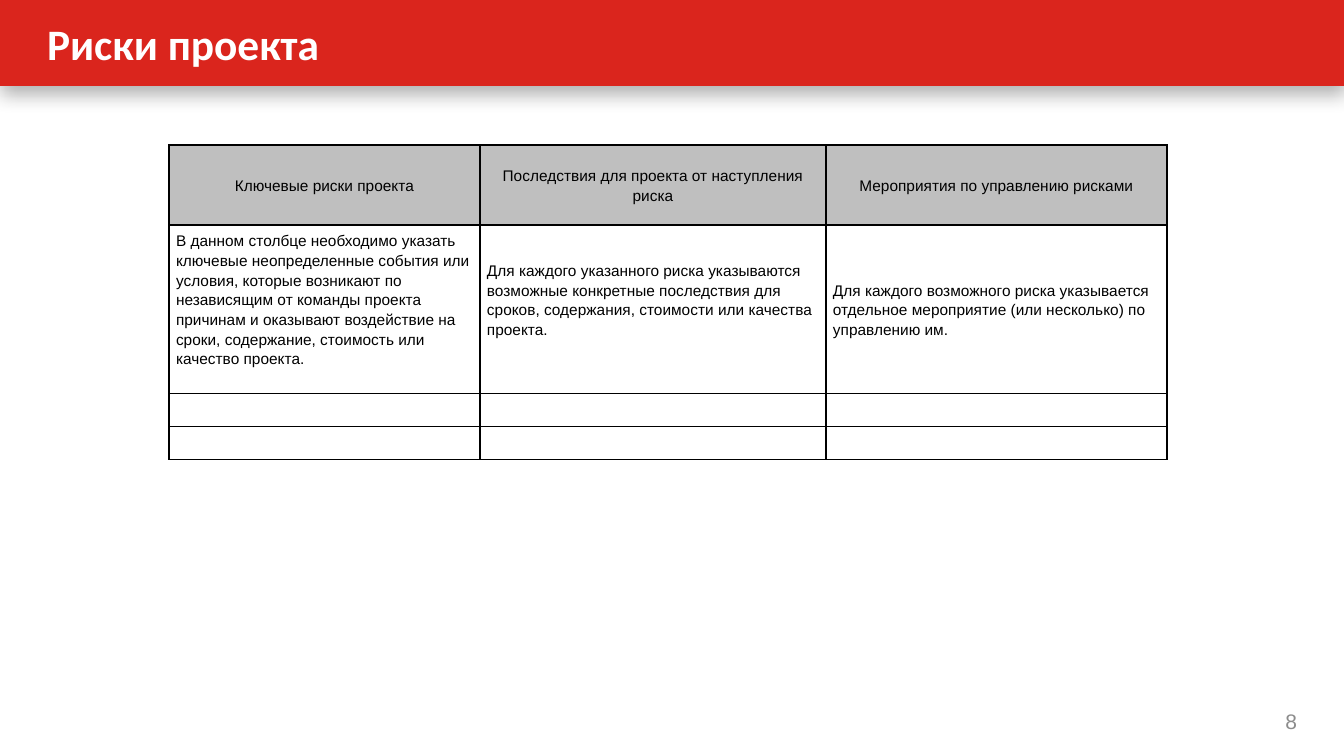
from lxml.etree import SubElement
from pptx import Presentation
from pptx.dml.color import RGBColor
from pptx.enum.shapes import MSO_SHAPE as Preset
from pptx.enum.text import MSO_ANCHOR as Anchor, PP_ALIGN as Align
from pptx.oxml import parse_xml
from pptx.oxml.ns import nsdecls, qn
from pptx.util import Pt

TITLE = "Риски проекта"
PAGE_NUMBER = "8"
HEADERS = [
    "Ключевые риски проекта",
    "Последствия для проекта от наступления риска",
    "Мероприятия по управлению рисками",
]
GUIDANCE = [
    "В данном столбце необходимо указать ключевые неопределенные события или условия, "
    "которые возникают по независящим от команды проекта причинам и оказывают воздействие "
    "на сроки, содержание, стоимость или качество проекта.",
    "Для каждого указанного риска указываются возможные конкретные последствия для сроков, "
    "содержания, стоимости или качества проекта.",
    "Для каждого возможного риска указывается отдельное мероприятие (или несколько) "
    "по управлению им.",
]
ROWS = [HEADERS, GUIDANCE, [""] * 3, [""] * 3]
GUIDANCE_BOTTOM = [20, 20, 0]
COLUMN_WIDTHS = [311, 346, 341]
ROW_HEIGHTS = [80, 159, 33, 33]
TABLE_LEFT, TABLE_TOP = 169, 145
SLIDE_WIDTH, SLIDE_HEIGHT, BANNER_HEIGHT = 1344, 756, 86
RED, WHITE, BLACK, HEADER_GRAY, NUMBER_GRAY = "DA251D", "FFFFFF", "000000", "BFBFBF", "8C8C8C"


def px(length):
    return round(length * 914400 / 100.8)


def color(value):
    return RGBColor.from_string(value)


def format_text(text_frame, font_name, size, font_color, bold=False, align=Align.LEFT):
    for paragraph in text_frame.paragraphs:
        paragraph.alignment = align
        for run in paragraph.runs:
            run.font.name = font_name
            run.font.size = Pt(size)
            run.font.bold = bold
            run.font.color.rgb = color(font_color)


def add_text(slide, box, text, **style):
    text_frame = slide.shapes.add_textbox(*map(px, box)).text_frame
    text_frame.word_wrap = True
    text_frame.vertical_anchor = Anchor.MIDDLE
    text_frame.margin_left = text_frame.margin_right = px(13)
    text_frame.margin_top = text_frame.margin_bottom = px(6)
    text_frame.text = text
    format_text(text_frame, **style)


def add_banner(slide):
    shape = slide.shapes.add_shape(Preset.RECTANGLE, 0, 0, px(SLIDE_WIDTH), px(BANNER_HEIGHT))
    shape.fill.solid()
    shape.fill.fore_color.rgb = color(RED)
    shape.line.fill.background()
    shape.shadow.inherit = False
    effects = shape.element.spPr.find(qn("a:effectLst"))
    effects.append(parse_xml(
        f'<a:outerShdw {nsdecls("a")} blurRad="{Pt(14)}" dist="{Pt(5)}" dir="5400000" '
        f'algn="t" rotWithShape="0"><a:srgbClr val="{BLACK}"><a:alpha val="31000"/>'
        '</a:srgbClr></a:outerShdw>'))


def add_borders(cell):
    properties = cell._tc.get_or_add_tcPr()
    for position, side in enumerate(("lnL", "lnR", "lnT", "lnB")):
        line = SubElement(properties, qn(f"a:{side}"), w=str(Pt(1)))
        fill = SubElement(line, qn("a:solidFill"))
        SubElement(fill, qn("a:srgbClr"), val=BLACK)
        properties.insert(position, line)


def format_cell(cell, text, header, bottom):
    cell.margin_left = cell.margin_right = px(7)
    cell.margin_top, cell.margin_bottom = 0, px(bottom)
    cell.vertical_anchor = Anchor.MIDDLE
    cell.text_frame.text = text
    format_text(cell.text_frame, "Arial", 11, BLACK, align=Align.CENTER if header else Align.LEFT)
    if text:
        cell.text_frame.paragraphs[0].line_spacing = 1.15
    if header:
        cell.fill.solid()
        cell.fill.fore_color.rgb = color(HEADER_GRAY)
    else:
        cell.fill.background()
    add_borders(cell)


def add_risk_table(slide):
    box = (TABLE_LEFT, TABLE_TOP, sum(COLUMN_WIDTHS), sum(ROW_HEIGHTS))
    table = slide.shapes.add_table(len(ROWS), len(HEADERS), *map(px, box)).table
    table.first_row = table.horz_banding = False
    for column, width in zip(table.columns, COLUMN_WIDTHS):
        column.width = px(width)
    for row_index, texts in enumerate(ROWS):
        table.rows[row_index].height = px(ROW_HEIGHTS[row_index])
        for column_index, text in enumerate(texts):
            bottom = GUIDANCE_BOTTOM[column_index] if texts is GUIDANCE else 0
            format_cell(table.cell(row_index, column_index), text, texts is HEADERS, bottom)


def main():
    presentation = Presentation()
    presentation.slide_width, presentation.slide_height = px(SLIDE_WIDTH), px(SLIDE_HEIGHT)
    slide = presentation.slides.add_slide(presentation.slide_layouts[6])
    add_banner(slide)
    add_text(slide, (34, 0, 1226, BANNER_HEIGHT), TITLE,
             font_name="Calibri", size=31, font_color=WHITE, bold=True)
    add_risk_table(slide)
    add_text(slide, (1226, 701, 84, 40), PAGE_NUMBER,
             font_name="Arial", size=15, font_color=NUMBER_GRAY, align=Align.RIGHT)
    presentation.save("out.pptx")


if __name__ == "__main__":
    main()
